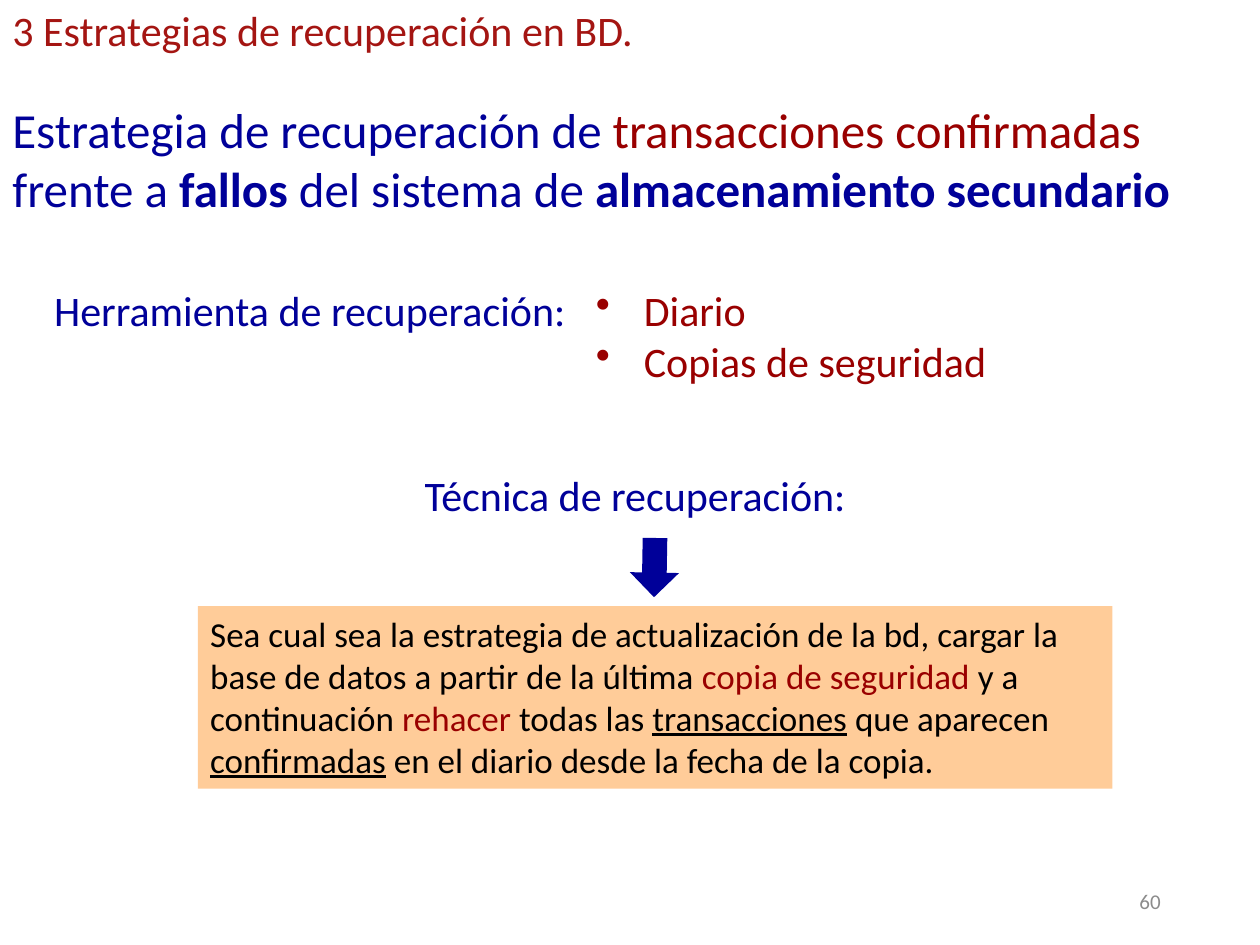
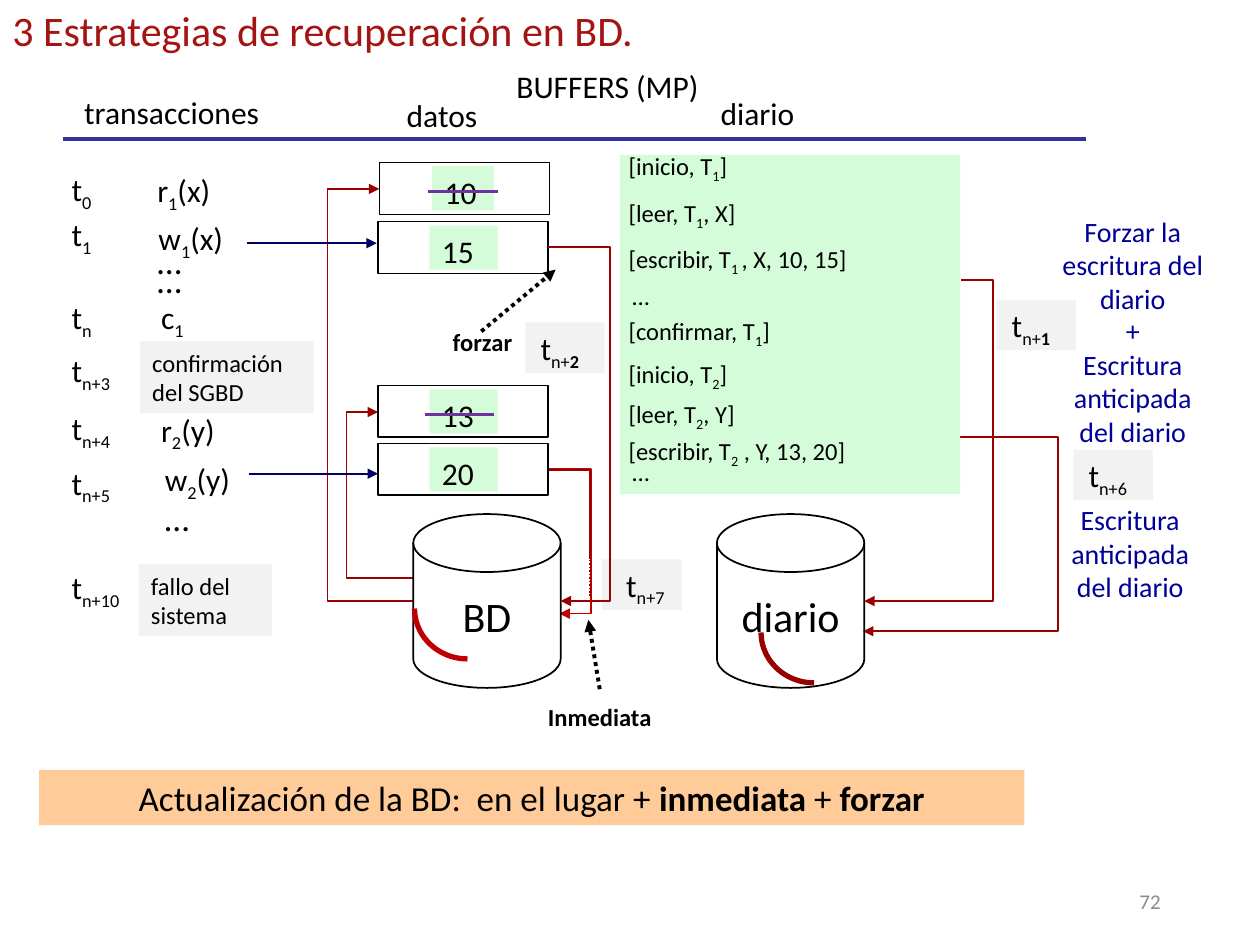
"""Build two slides on database recovery strategies."""

import math
from dataclasses import dataclass
from typing import Optional

import pptx
import pptx.dml.color
import pptx.enum.dml
import pptx.enum.shapes
import pptx.enum.text
import pptx.oxml.ns
import pptx.slide
import pptx.util
from lxml import etree

Inches = pptx.util.Inches
Preset = pptx.enum.shapes.MSO_SHAPE
Align = pptx.enum.text.PP_ALIGN
Dash = pptx.enum.dml.MSO_LINE
qn = pptx.oxml.ns.qn


@dataclass(frozen=True)
class Theme:
    font: str = "Calibri"
    ink: str = "000000"
    blue: str = "000099"
    navy: str = "000066"
    rule: str = "333399"
    red: str = "990000"
    crimson: str = "C00000"
    title: str = "A41512"
    purple: str = "7030A0"
    grey: str = "8C8C8C"
    peach: str = "FFCC99"
    mint: str = "D4FCD8"
    pale: str = "F2F2F2"
    white: str = "FFFFFF"
    headline: int = 28
    heading: int = 24
    body: int = 20
    label: int = 18
    remark: int = 16
    detail: int = 14
    footer: int = 12


THEME = Theme()


@dataclass(frozen=True)
class Run:
    text: str
    color: Optional[str] = None
    bold: bool = False
    underline: bool = False
    sub: bool = False


@dataclass(frozen=True)
class Box:
    left: float
    top: float
    width: float
    height: float
    paragraphs: tuple[tuple[Run, ...], ...] = ()
    size: int = THEME.label
    color: str = THEME.ink
    bold: bool = False
    align: Align = Align.LEFT
    fill: Optional[str] = None
    outline: Optional[float] = None
    preset: Optional[Preset] = None
    side_insets: tuple[float, float] = (0.1, 0.1)
    middle: bool = False
    wrap: bool = True
    bullet: Optional[str] = None
    turn: float = 0
    spacing: tuple[float, ...] = ()


@dataclass(frozen=True)
class Link:
    start: tuple[float, float]
    end: tuple[float, float]
    color: str = THEME.red
    weight: float = 1
    bend_x: Optional[float] = None
    arrow: Optional[str] = None
    dotted: bool = False


@dataclass(frozen=True)
class BufferCell:
    value: str
    left: float
    top: float
    chip_left: float = 3.41
    chip_width: float = 0.54


def rgb(color: str) -> pptx.dml.color.RGBColor:
    """Convert a hex colour."""
    return pptx.dml.color.RGBColor.from_string(color)


def plain(*lines: str) -> tuple[tuple[Run, ...], ...]:
    """Make one uniform paragraph of each line."""
    return tuple((Run(line),) for line in lines)


def indexed(text: str) -> tuple[tuple[Run, ...], ...]:
    """Make a paragraph in which parts between underscores are subscripts."""
    return (tuple(Run(part, sub=i % 2 == 1) for i, part in enumerate(text.split("_")) if part),)


def write(frame, box: Box) -> None:
    """Fill a text frame with the paragraphs of a box."""
    frame.word_wrap = box.wrap
    frame.margin_left, frame.margin_right = map(Inches, box.side_insets)
    frame.margin_top = frame.margin_bottom = Inches(0.05)
    anchors = pptx.enum.text.MSO_ANCHOR
    frame.vertical_anchor = anchors.MIDDLE if box.middle else anchors.TOP
    for i, runs in enumerate(box.paragraphs):
        paragraph = frame.paragraphs[0] if i == 0 else frame.add_paragraph()
        paragraph.alignment = box.align
        paragraph.font.name = THEME.font
        paragraph.font.size = pptx.util.Pt(box.size)
        paragraph.font.bold = box.bold
        paragraph.font.color.rgb = rgb(box.color)
        if box.spacing and box.spacing[i] != 1:
            paragraph.line_spacing = box.spacing[i]
            paragraph.space_before = pptx.util.Pt(4)
        if box.bullet:
            properties = paragraph._p.get_or_add_pPr()
            properties.set("marL", str(Inches(0.38)))
            properties.set("indent", str(Inches(-0.38)))
            mark = etree.Element(qn("a:buChar"), char=box.bullet)
            properties.find(qn("a:defRPr")).addprevious(mark)
        for part in runs:
            run = paragraph.add_run()
            run.text = part.text
            if part.color:
                run.font.color.rgb = rgb(part.color)
            if part.bold:
                run.font.bold = True
            if part.underline:
                run.font.underline = True
            if part.sub:
                run._r.get_or_add_rPr().set("baseline", "-25000")


def draw_box(slide: pptx.slide.Slide, box: Box) -> None:
    """Draw a text box, or a preset shape with its text."""
    place = [Inches(v) for v in (box.left, box.top, box.width, box.height)]
    if box.preset or box.fill or box.outline:
        shape = slide.shapes.add_shape(box.preset or Preset.RECTANGLE, *place)
        shape.shadow.inherit = False
        shape.rotation = box.turn
        if box.fill:
            shape.fill.solid()
            shape.fill.fore_color.rgb = rgb(box.fill)
        else:
            shape.fill.background()
        if box.outline:
            shape.line.color.rgb = rgb(THEME.ink)
            shape.line.width = pptx.util.Pt(box.outline)
        else:
            shape.line.fill.background()
    else:
        shape = slide.shapes.add_textbox(*place)
    if box.paragraphs:
        write(shape.text_frame, box)


def draw_link(slide: pptx.slide.Slide, link: Link) -> None:
    """Draw a straight line, or an elbow whose upright stands at bend_x."""
    kinds = pptx.enum.shapes.MSO_CONNECTOR
    kind = kinds.STRAIGHT if link.bend_x is None else kinds.ELBOW
    connector = slide.shapes.add_connector(kind, *map(Inches, link.start + link.end))
    connector.line.color.rgb = rgb(link.color)
    connector.line.width = pptx.util.Pt(link.weight)
    if link.dotted:
        connector.line.dash_style = Dash.ROUND_DOT
    properties = connector._element.spPr
    if link.bend_x is not None:
        ratio = (link.bend_x - link.start[0]) / (link.end[0] - link.start[0])
        guides = properties.find(qn("a:prstGeom")).get_or_add_avLst()
        etree.SubElement(guides, qn("a:gd"), name="adj1", fmla=f"val {round(ratio * 100000)}")
    if link.arrow:
        etree.SubElement(connector.line._get_or_add_ln(), qn(f"a:{link.arrow}"), type="triangle")
    etree.SubElement(properties, qn("a:effectLst"))


def draw_arc(slide: pptx.slide.Slide, left: float, top: float, color: str) -> None:
    """Draw the lower left quarter of an ellipse."""
    width, height, steps = 0.42, 0.4, 24
    points = [
        (Inches(left + width * (1 - math.cos(a))), Inches(top + height * math.sin(a)))
        for a in (math.pi / 2 * i / steps for i in range(steps + 1))
    ]
    builder = slide.shapes.build_freeform(*points[0])
    builder.add_line_segments(points[1:], close=False)
    arc = builder.convert_to_shape()
    arc.shadow.inherit = False
    arc.fill.background()
    arc.line.color.rgb = rgb(color)
    arc.line.width = pptx.util.Pt(3)


def draw_cell(slide: pptx.slide.Slide, cell: BufferCell, fill: Optional[str] = None) -> None:
    """Draw a data buffer with its value."""
    draw_box(slide, Box(cell.left, cell.top, 1.35, 0.41, fill=fill, outline=0.75))
    draw_box(slide, Box(cell.chip_left, cell.top + 0.03, cell.chip_width, 0.35,
                        plain(cell.value), fill=THEME.mint))


def draw_all(slide: pptx.slide.Slide, *items: Box | Link) -> None:
    """Draw boxes and links from back to front."""
    for item in items:
        (draw_box if isinstance(item, Box) else draw_link)(slide, item)


def start_slide(deck, number: str) -> pptx.slide.Slide:
    """Add a blank slide with the shared title and page number."""
    slide = deck.slides.add_slide(deck.slide_layouts[6])
    draw_all(
        slide,
        Box(7.06, 6.95, 2.25, 0.4, plain(number), THEME.footer, THEME.grey,
            align=Align.RIGHT, middle=True),
        Box(0, -0.01, 5.17, 0.5, plain("3 Estrategias de recuperación en BD."),
            THEME.heading, THEME.title, wrap=False),
    )
    return slide


def build_strategy(deck) -> None:
    """Build the slide on the recovery tool and technique."""
    slide = start_slide(deck, "60")
    headline = (
        Run("Estrategia de recuperación de "), Run("transacciones confirmadas ", THEME.red),
        Run("frente a "), Run("fallos", bold=True), Run(" del sistema de "),
        Run("almacenamiento secundario", bold=True),
    )
    technique = (
        Run("Sea cual sea la estrategia de actualización de la bd, cargar la base de datos "
            "a partir de la última "),
        Run("copia de seguridad", THEME.red), Run(" y a continuación "),
        Run("rehacer", THEME.red), Run(" todas las "), Run("transacciones", underline=True),
        Run(" que aparecen "), Run("confirmadas", underline=True),
        Run(" en el diario desde la fecha de la copia."),
    )
    draw_all(
        slide,
        Box(0, 0.74, 10, 1.04, (headline,), THEME.headline, THEME.blue),
        Box(0.43, 2.21, 4.32, 0.5, plain("Herramienta de recuperación:"),
            THEME.heading, THEME.blue, side_insets=(0, 0)),
        Box(4.73, 2.21, 4.32, 0.91, plain("Diario", "Copias de seguridad"),
            THEME.heading, THEME.red, side_insets=(0, 0), bullet="•"),
        Box(3.37, 3.68, 3.65, 0.5, plain("Técnica de recuperación:"),
            THEME.heading, THEME.blue, side_insets=(0, 0)),
        Box(5, 4.27, 0.39, 0.47, fill=THEME.blue, preset=Preset.DOWN_ARROW, turn=1),
        Box(1.57, 4.81, 7.26, 1.45, (technique,), THEME.body, fill=THEME.peach,
            side_insets=(0.1, 0)),
    )


def build_timeline(deck) -> None:
    """Build the slide that follows two transactions through the buffers."""
    slide = start_slide(deck, "72")
    update = (Run("Actualización de la BD:  en el lugar + "), Run("inmediata", bold=True),
              Run(" + "), Run("forzar", bold=True))
    draw_all(
        slide,
        Box(0.31, 6.11, 7.82, 0.44, (update,), THEME.body, align=Align.CENTER, fill=THEME.peach),
        Link((4.34, 3.72), (4.44, 4.87), THEME.crimson, bend_x=4.69, arrow="tailEnd"),
        Link((4.26, 3.73), (4.69, 3.73)),
        Link((4.68, 3.72), (4.68, 4.44)),
        Link((4.68, 4.36), (4.68, 4.74), dotted=True),
        Link((7.44, 3.47), (6.85, 5.01), bend_x=8.4, arrow="tailEnd"),
        Link((3, 3.27), (3.28, 4.59), bend_x=2.75, arrow="headEnd"),
        Link((3.01, 1.5), (3.28, 4.77), bend_x=2.6, arrow="headEnd"),
        Link((0.5, 1.1), (8.62, 1.1), THEME.rule, 2.25),
        Box(4.92, 1.23, 2.7, 2.69, fill=THEME.mint),
    )
    for left, top, width, heading in ((0.57, 0.69, 1.7, "transacciones"), (3.13, 0.71, 1.03, "datos"),
                                      (5.62, 0.7, 0.98, "diario"), (4, 0.48, 1.72, "BUFFERS (MP)")):
        draw_box(slide, Box(left, top, width, 0.4, plain(heading)))
    for top, moment in ((1.3, "0"), (1.66, "1"), (2.32, "n"), (2.74, "n+3"),
                        (3.2, "n+4"), (3.63, "n+5"), (4.46, "n+10")):
        draw_box(slide, Box(0.47, top, 0.7, 0.4, indexed(f"t_{moment}_")))
    for left, top, operation in ((1.15, 1.31, "r_1_(x)"), (1.16, 1.69, "w_1_(x)"), (1.18, 2.32, "c_1_"),
                                 (1.18, 3.21, "r_2_(y)"), (1.21, 3.6, "w_2_(y)")):
        draw_box(slide, Box(left, top, 1, 0.4, indexed(operation)))
    for top, entry in ((1.15, "[inicio, T_1_]"), (1.52, "[leer, T_1_, X]"),
                       (1.89, "[escribir, T_1 _, X, 10, 15]"), (2.18, "…"),
                       (2.46, "[confirmar, T_1_]"), (2.8, "[inicio, T_2_]"),
                       (3.12, "[leer, T_2_, Y]"), (3.41, "[escribir, T_2_ , Y, 13, 20]"), (3.58, "…")):
        left = 4.92 if entry == "…" else 4.89
        draw_box(slide, Box(left, top, 2.5, 0.34, indexed(entry), THEME.detail))

    for cell in (BufferCell("10", 3.01, 1.29, 3.43, 0.49), BufferCell("15", 3, 1.76),
                 BufferCell("13", 3, 3.06)):
        draw_cell(slide, cell)
    draw_cell(slide, BufferCell("20", 3, 3.52), THEME.white)
    for left, name, fill in ((3.28, "BD", THEME.white), (5.69, "diario", None)):
        draw_box(slide, Box(left, 4.08, 1.17, 1.38, plain(name), THEME.heading, align=Align.CENTER,
                            fill=fill, outline=1, preset=Preset.FLOWCHART_MAGNETIC_DISK,
                            middle=True, wrap=False))
    draw_arc(slide, 3.29, 4.83, THEME.crimson)
    draw_arc(slide, 6.04, 5.02, THEME.red)
    for left, top, inset, runs in (
        (7.91, 2.38, 0.12, (Run("t"), Run("n+", sub=True), Run("1", bold=True, sub=True))),
        (8.52, 3.57, 0.12, indexed("t_n+6_")[0]),
        (4.78, 4.44, 0.19, indexed("t_n+7_")[0]),
        (4.17, 2.56, 0.12, (Run("t"), Run("n+", sub=True), Run("2", bold=True, sub=True))),
    ):
        draw_box(slide, Box(left, top, 0.63, 0.4, (runs,), fill=THEME.pale, side_insets=(inset, 0)))
    for top, height, remark in ((1.65, 0.91, ("Forzar la escritura del diario",)),
                                (2.44, 1.18, ("+", "Escritura anticipada del diario")),
                                (3.94, 0.91, ("Escritura anticipada del diario",))):
        draw_box(slide, Box(8.31 if top > 3 else 8.33, top, 1.32, height, plain(*remark),
                            THEME.remark, THEME.blue, align=Align.CENTER))
    draw_all(
        slide,
        Box(1.15, 1.85, 0.98, 0.56, plain("…", "…"), THEME.body, spacing=(1, 0.15)),
        Box(1.21, 4.13, 0.98, 0.2, plain("…"), THEME.body, spacing=(0.15,)),
        Box(1.11, 2.71, 1.38, 0.57, plain("confirmación del SGBD"), THEME.detail, fill=THEME.pale),
        Box(1.1, 4.48, 1.06, 0.57, plain("fallo del sistema"), THEME.detail, fill=THEME.pale),
        Box(4.25, 5.52, 1.28, 0.34, plain("Inmediata"), THEME.detail, bold=True),
        Box(3.11, 2.55, 1.44, 0.34, plain("forzar"), THEME.detail, bold=True, align=Align.CENTER),
        Link((4.76, 5.47), (4.67, 4.92), THEME.ink, 2.25, arrow="tailEnd", dotted=True),
        Link((3.82, 2.63), (4.41, 2.14), THEME.ink, 2.25, arrow="tailEnd", dotted=True),
        Link((1.96, 1.93), (2.99, 1.93), THEME.navy, arrow="tailEnd"),
        Link((1.98, 3.76), (3, 3.76), THEME.navy, arrow="tailEnd"),
        Link((4.35, 1.96), (4.45, 4.77), bend_x=4.84, arrow="tailEnd"),
        Link((7.63, 2.22), (6.86, 4.77), bend_x=7.88, arrow="tailEnd"),
        Link((3.4, 1.52), (3.95, 1.52), THEME.purple, 2.25),
        Link((3.37, 3.29), (3.92, 3.29), THEME.purple, 2.25),
    )


def main() -> None:
    """Build and save the deck."""
    deck = pptx.Presentation()
    deck.slide_width, deck.slide_height = Inches(10), Inches(7.5)
    build_strategy(deck)
    build_timeline(deck)
    deck.save("out.pptx")


if __name__ == "__main__":
    main()
